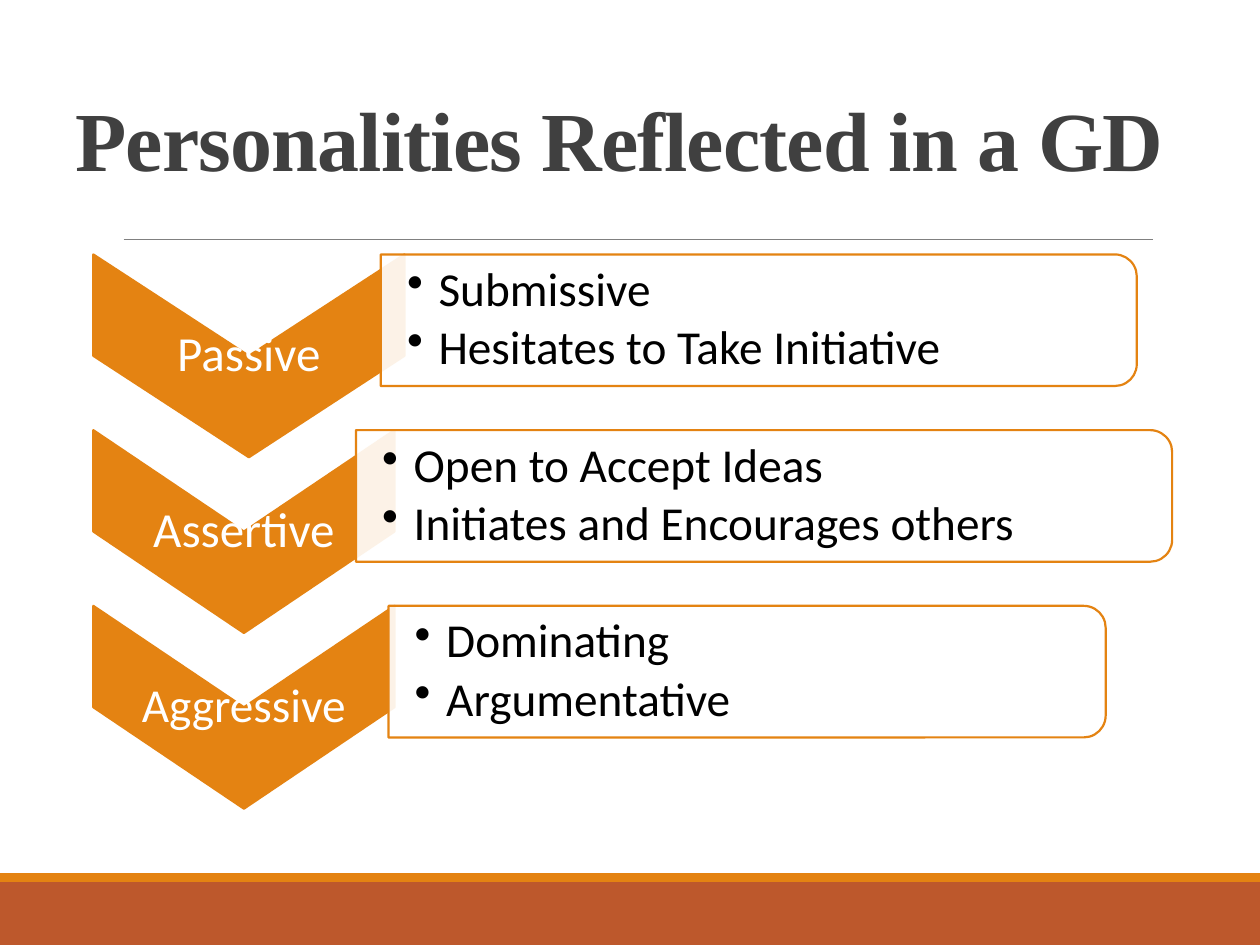
from dataclasses import dataclass

from lxml.etree import SubElement
from pptx import Presentation
from pptx.dml.color import RGBColor
from pptx.enum.shapes import MSO_CONNECTOR, MSO_SHAPE
from pptx.enum.text import MSO_ANCHOR, MSO_AUTO_SIZE, PP_ALIGN
from pptx.oxml.ns import qn
from pptx.util import Pt


@dataclass(frozen=True)
class Theme:
    orange: RGBColor = RGBColor(0xE4, 0x83, 0x12)
    rust: RGBColor = RGBColor(0xBD, 0x58, 0x2C)
    heading: RGBColor = RGBColor(0x40, 0x40, 0x40)
    rule: RGBColor = RGBColor(0x80, 0x80, 0x80)
    white: RGBColor = RGBColor(0xFF, 0xFF, 0xFF)
    black: RGBColor = RGBColor(0, 0, 0)
    title_font: str = "Times New Roman"
    body_font: str = "Calibri"
    title_size: int = 48
    list_size: int = 27


THEME = Theme()

# Label, label size, chevron width, panel left, panel width, list items
ROWS = [
    ("Passive", 28, 177.8, 217.6, 432,
     ["Submissive", "Hesitates to Take Initiative"]),
    ("Assertive", 28, 172.1, 203.4, 466.4,
     ["Open to Accept Ideas", "Initiates and Encourages others"]),
    ("Aggressive", 27, 172.1, 222, 409.8,
     ["Dominating", "Argumentative"]),
]
ROWS_TOP, ROW_PITCH = 145.4, 100.4
CHEVRON_LEFT, CHEVRON_HEIGHT = 53.3, 115.9
PANEL_HEIGHT, PANEL_INSET = 75.2, 3.6


def set_values(target, values):
    for name, value in values.items():
        setattr(target, name, value)


def style_text(para, size, color, font=THEME.body_font, bold=False):
    set_values(para.font, {"name": font, "size": Pt(size), "bold": bold})
    para.font.color.rgb = color


def add_block(slide, kind, left, top, width, height, fill, line=None):
    block = slide.shapes.add_shape(kind, Pt(left), Pt(top), Pt(width), Pt(height))
    block.shadow.inherit = False
    block.fill.solid()
    block.fill.fore_color.rgb = fill
    if line is None:
        block.line.fill.background()
    else:
        block.line.color.rgb = line
        block.line.width = Pt(1.25)
    return block


def add_turned_block(slide, kind, left, top, width, height, fill):
    """Add a block turned by 90 degrees that covers the given area."""
    shift = (width - height) / 2
    block = add_block(slide, kind, left + shift, top - shift, height, width,
                      fill, THEME.orange)
    block.rotation = 90
    return block


def set_opacity(block, percent):
    color = block.fill._xPr.find(qn("a:solidFill")).find(qn("a:srgbClr"))
    SubElement(color, qn("a:alpha"), val=str(percent * 1000))


def add_bullet(para, indent):
    properties = para._p.get_or_add_pPr()
    properties.set("marL", str(Pt(indent)))
    properties.set("indent", str(Pt(-indent)))
    SubElement(properties, qn("a:buChar"), char="•")


def add_text(slide, left, top, width, height, lines, size, color,
             inset=1.5, bulleted=False, space_after=4):
    box = slide.shapes.add_textbox(Pt(left), Pt(top), Pt(width), Pt(height))
    frame = box.text_frame
    set_values(frame, {
        "word_wrap": True, "vertical_anchor": MSO_ANCHOR.MIDDLE,
        "margin_left": Pt(inset), "margin_right": Pt(1.5),
        "margin_top": Pt(1.5), "margin_bottom": Pt(1.5),
    })
    frame.text = "\n".join(lines)
    for para in frame.paragraphs:
        if bulleted:
            para.level = 1
            add_bullet(para, 18)
        set_values(para, {
            "alignment": PP_ALIGN.LEFT if bulleted else PP_ALIGN.CENTER,
            "line_spacing": 0.9, "space_after": Pt(space_after),
        })
        style_text(para, size, color)


def add_title(slide, text):
    title = slide.shapes.title
    set_values(title, {"left": Pt(36), "top": Pt(54),
                       "width": Pt(648), "height": Pt(57.6)})
    frame = title.text_frame
    frame.text = text
    set_values(frame, {"auto_size": MSO_AUTO_SIZE.NONE, "word_wrap": True,
                       "vertical_anchor": MSO_ANCHOR.BOTTOM})
    para = frame.paragraphs[0]
    set_values(para, {"alignment": PP_ALIGN.LEFT, "line_spacing": 0.85})
    style_text(para, THEME.title_size, THEME.heading, THEME.title_font, True)
    para.runs[0].font._element.set("spc", "-50")


def add_rule(slide, left, right, top):
    rule = slide.shapes.add_connector(
        MSO_CONNECTOR.STRAIGHT, Pt(left), Pt(top), Pt(right), Pt(top))
    rule.line.color.rgb = THEME.rule
    rule.line.width = Pt(0.5)
    SubElement(rule._element.spPr, qn("a:effectLst"))


def add_row(slide, top, label, label_size, chevron_width, left, width, items):
    # Chevron with its label
    area = (CHEVRON_LEFT, top, chevron_width, CHEVRON_HEIGHT)
    add_turned_block(slide, MSO_SHAPE.CHEVRON, *area, THEME.orange)
    add_text(slide, *area, [label], label_size, THEME.white, space_after=10)

    # Panel with its list
    panel = add_turned_block(slide, MSO_SHAPE.ROUND_2_SAME_RECTANGLE,
                             left, top, width, PANEL_HEIGHT, THEME.white)
    set_opacity(panel, 90)
    add_text(slide, left, top + PANEL_INSET, width - PANEL_INSET,
             PANEL_HEIGHT - 2 * PANEL_INSET, items, THEME.list_size,
             THEME.black, inset=15, bulleted=True)


def main():
    deck = Presentation()
    set_values(deck, {"slide_width": Pt(720), "slide_height": Pt(540)})
    slide = deck.slides.add_slide(deck.slide_layouts[5])

    # Footer bands and title rule
    add_block(slide, MSO_SHAPE.RECTANGLE, 0, 504, 720, 36, THEME.rust)
    add_block(slide, MSO_SHAPE.RECTANGLE, 0, 499, 720, 5, THEME.orange)
    add_rule(slide, 70.6, 658.8, 136.7)

    add_title(slide, "Personalities Reflected in a GD")

    # Personality rows
    for index, row in enumerate(ROWS):
        add_row(slide, ROWS_TOP + index * ROW_PITCH, *row)

    deck.save("out.pptx")


if __name__ == "__main__":
    main()
